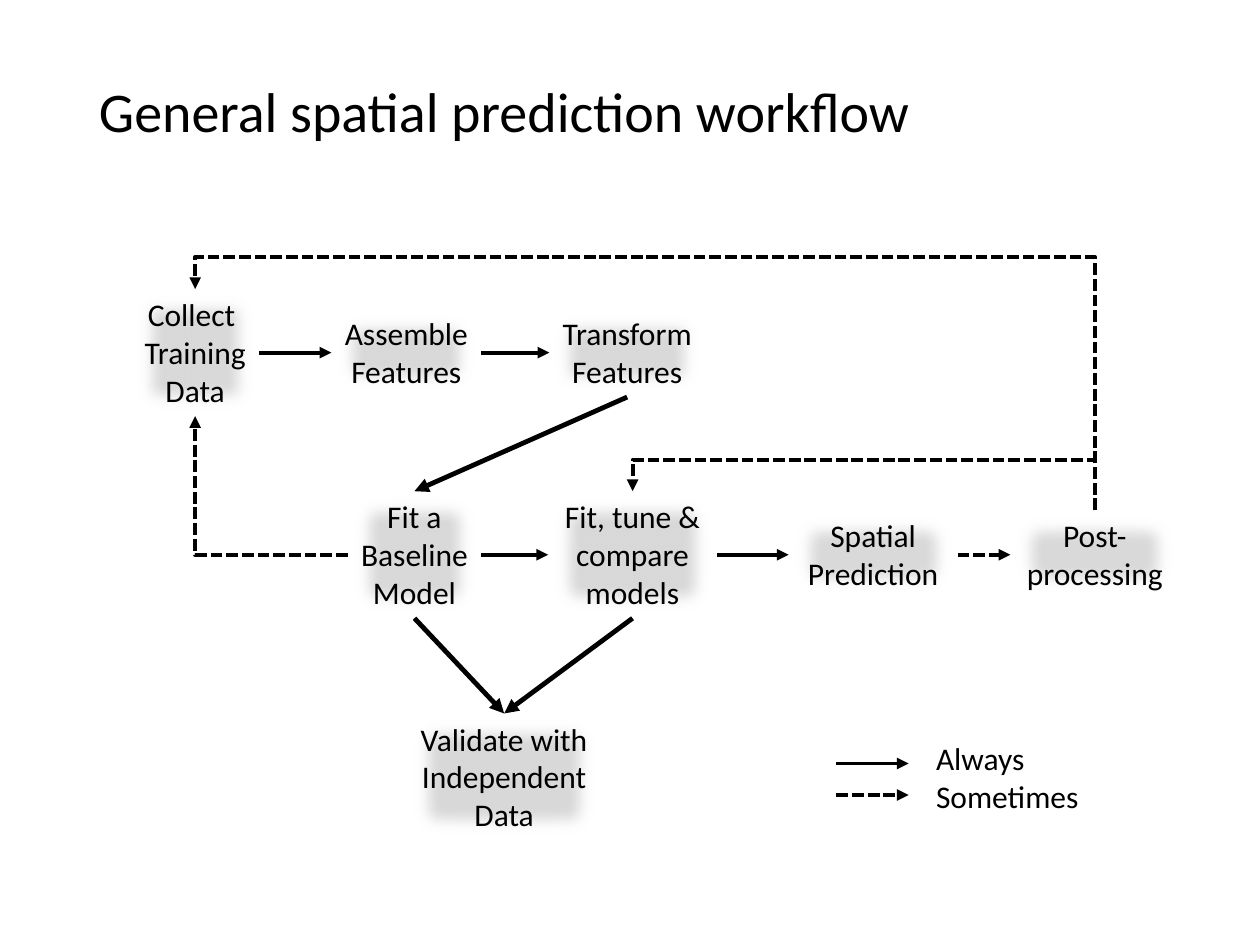
import pptx
import pptx.util
from lxml import etree
from pptx.dml.color import RGBColor
from pptx.enum.dml import MSO_LINE
from pptx.enum.shapes import MSO_CONNECTOR, MSO_SHAPE
from pptx.enum.text import MSO_ANCHOR, MSO_AUTO_SIZE, PP_ALIGN
from pptx.oxml.ns import qn

Pt = pptx.util.Pt

COLORS = {"ink": "000000", "box": "D9D9D9", "edge": "325491"}
BODY = {"name": "Calibri", "size": Pt(18)}
TITLE = {"name": "Calibri", "size": Pt(32)}
GROW = {"auto_size": MSO_AUTO_SIZE.SHAPE_TO_FIT_TEXT, "vertical_anchor": MSO_ANCHOR.TOP}
LINE_HEIGHT, PADDING = 21.8, 7.2
ROW_1, ROW_2, ROW_3 = 201.5, 317, 444

# name: (left, centre y, width, line count, wraps, paragraphs)
STEPS = {
    "collect": (75, ROW_1, 73, 3, False, ["Collect ", "Training", "Data"]),
    "assemble": (189.4, ROW_1, 85.6, 2, False, ["Assemble", "Features"]),
    "transform": (313.9, ROW_1, 89, 2, False, ["Transform", "Features"]),
    "baseline": (198.7, ROW_2, 76.3, 3, False, ["Fit a", "Baseline", "Model"]),
    "validate": (232.6, ROW_3, 111, 3, False, ["Validate with", "Independent", "Data"]),
    "tune": (313.2, ROW_2, 96.5, 3, True, ["Fit, tune &", "compare", "models"]),
    "spatial": (450.7, ROW_2, 96.5, 2, True, ["Spatial", "Prediction"]),
    "post": (577.4, ROW_2, 96.5, 2, True, ["Post-processing"]),
}


def rgb(name):
    return RGBColor.from_string(COLORS[name])


def apply(target, values):
    for key, value in values.items():
        setattr(target, key, value)


def write(tf, lines, font, frame, paragraph):
    apply(tf, frame)
    for i, text in enumerate(lines):
        p = tf.paragraphs[0] if i == 0 else tf.add_paragraph()
        apply(p, paragraph)
        r = p.add_run()
        r.text = text
        apply(r.font, font)
        r.font.color.rgb = rgb("ink")


def add_text(s, box, lines, font, frame, paragraph):
    sp = s.shapes.add_textbox(*map(Pt, box))
    write(sp.text_frame, lines, font, frame, paragraph)


def side(name, where):
    """Return the middle point of one side of a step."""
    left, mid, width, lines = STEPS[name][:4]
    half = (lines * LINE_HEIGHT + PADDING) / 2
    return {
        "left": (left, mid),
        "right": (left + width, mid),
        "top": (left + width / 2, mid - half),
        "bottom": (left + width / 2, mid + half),
    }[where]


def add_step(s, name):
    left, mid, width, count, wraps, lines = STEPS[name]
    height = count * LINE_HEIGHT + PADDING
    sp = s.shapes.add_shape(
        MSO_SHAPE.RECTANGLE, Pt(left), Pt(mid - height / 2), Pt(width), Pt(height))
    sp.fill.solid()
    sp.fill.fore_color.rgb = rgb("box")
    sp.line.color.rgb = rgb("edge")
    sp.line.width = Pt(0.75)
    sp.shadow.inherit = False
    effects = sp._element.spPr.find(qn("a:effectLst"))
    etree.SubElement(effects, qn("a:softEdge"), rad=str(Pt(10)))
    write(sp.text_frame, lines, BODY, {**GROW, "word_wrap": wraps},
          {"alignment": PP_ALIGN.CENTER})


def add_arrow(s, start, end, width=2.25, dashed=False, kind=MSO_CONNECTOR.STRAIGHT):
    cx = s.shapes.add_connector(kind, *map(Pt, (*start, *end)))
    cx.line.color.rgb = rgb("ink")
    cx.line.width = Pt(width)
    if dashed:
        cx.line.dash_style = MSO_LINE.SQUARE_DOT
    spPr = cx._element.spPr
    etree.SubElement(spPr.find(qn("a:ln")), qn("a:tailEnd"), type="triangle")
    etree.SubElement(spPr, qn("a:effectLst"))
    return spPr


def add_corner(s, start, end):
    """Dashed arrow going left from start, then up to end."""
    spPr = add_arrow(s, end, start, dashed=True, kind=MSO_CONNECTOR.ELBOW)
    spPr.find(qn("a:xfrm")).set("rot", str(180 * 60000))
    spPr.find(qn("a:prstGeom")).set("prst", "bentConnector2")


def add_loop(s, start, end, top):
    """Dashed arrow going up to top, left, then down to end."""
    (x0, y0), (x1, y1) = start, end
    rise, run = y0 - y1, x0 - x1
    left, upper = (x0 + x1 - rise) / 2, (y0 + y1 - run) / 2
    spPr = add_arrow(s, (left, upper), (left + rise, upper + run),
                     dashed=True, kind=MSO_CONNECTOR.ELBOW)
    xfrm = spPr.find(qn("a:xfrm"))
    xfrm.set("rot", str(270 * 60000))
    xfrm.set("flipV", "1")
    guides = spPr.find(qn("a:prstGeom")).find(qn("a:avLst"))
    share = round((y0 - top) / rise * 100000)
    etree.SubElement(guides, qn("a:gd"), name="adj1", fmla=f"val {share}")


def add_legend(s):
    add_text(s, (527.8, 419, 97, 51), ["Always", "Sometimes"], BODY,
             {**GROW, "word_wrap": False}, {})
    for y, dashed in ((436.3, False), (454.3, True)):
        add_arrow(s, (478, y), (519.2, y), dashed=dashed)


def main():
    prs = pptx.Presentation()
    prs.slide_width, prs.slide_height = Pt(720), Pt(540)
    s = prs.slides.add_slide(prs.slide_layouts[6])

    add_text(s, (49.5, 28.8, 621, 73), ["General spatial prediction workflow"], TITLE,
             {"word_wrap": True, "vertical_anchor": MSO_ANCHOR.MIDDLE},
             {"line_spacing": 0.9})
    for name in STEPS:
        add_step(s, name)

    for a, b in (("collect", "assemble"), ("assemble", "transform"),
                 ("baseline", "tune"), ("tune", "spatial"), ("spatial", "post")):
        add_arrow(s, side(a, "right"), side(b, "left"), dashed=b == "post")
    for a, b in (("transform", "baseline"), ("baseline", "validate"), ("tune", "validate")):
        add_arrow(s, side(a, "bottom"), side(b, "top"), width=2.75)

    add_corner(s, side("baseline", "left"), side("collect", "bottom"))
    for name, top in (("collect", 147), ("tune", 262.8)):
        add_loop(s, side("post", "top"), side(name, "top"), top)
    add_legend(s)
    prs.save("out.pptx")


if __name__ == "__main__":
    main()
